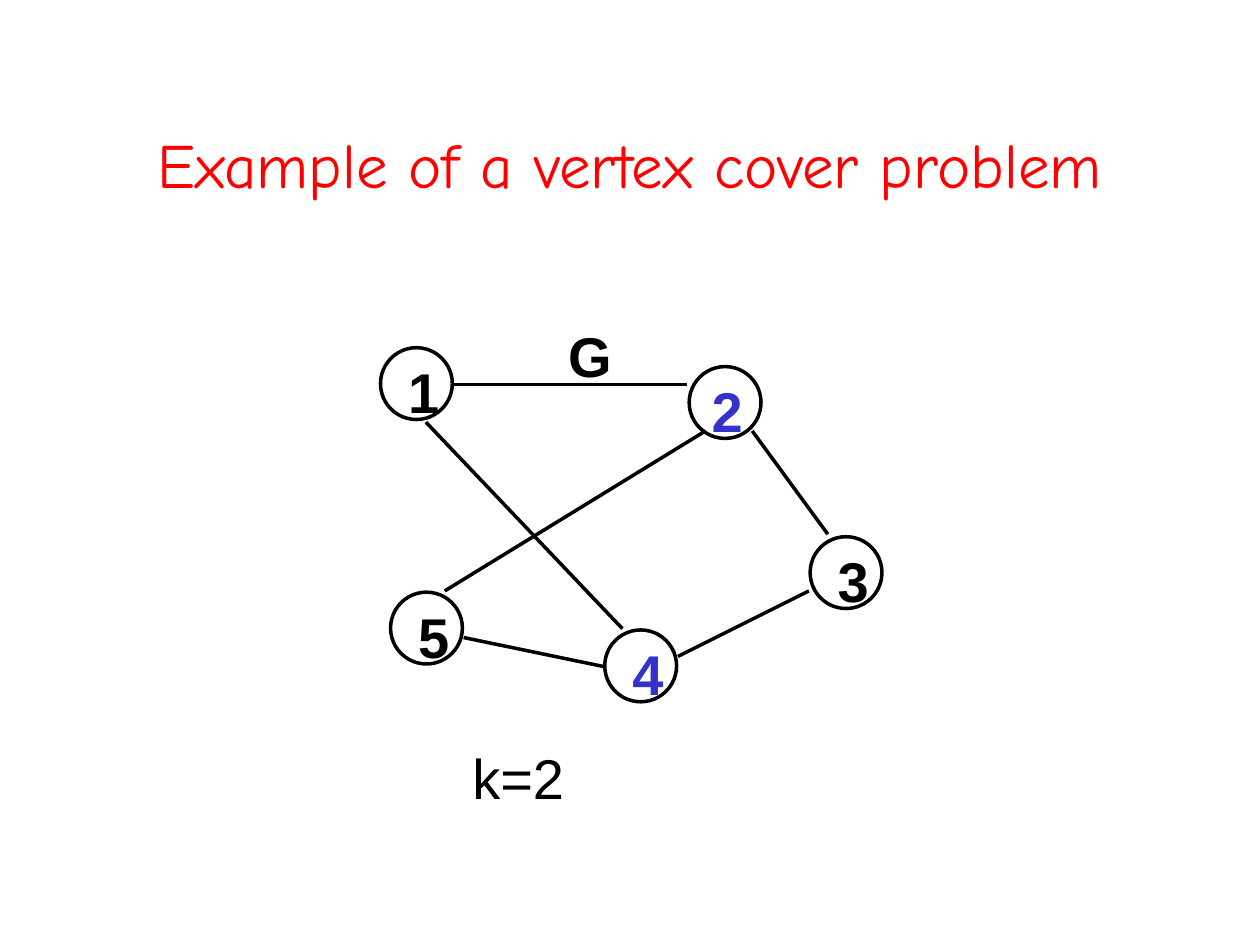
from dataclasses import dataclass

from lxml import etree
from pptx import Presentation
from pptx.dml.color import RGBColor
from pptx.enum.shapes import MSO_CONNECTOR, MSO_SHAPE
from pptx.enum.text import MSO_ANCHOR, MSO_AUTO_SIZE, PP_ALIGN
from pptx.oxml.ns import qn
from pptx.util import Inches, Pt

STRAIGHT = MSO_CONNECTOR.STRAIGHT
OVAL = MSO_SHAPE.OVAL
BLACK = RGBColor(0x00, 0x00, 0x00)
RED = RGBColor(0xFF, 0x00, 0x00)
BLUE = RGBColor(0x33, 0x33, 0xCC)
DIAMETER = 0.57
LINE_WIDTH = Pt(2)


@dataclass
class Node:
    label: str
    x: float
    y: float
    color: RGBColor = BLACK
    label_dx: float = 0.12


@dataclass
class Edge:
    x1: float
    y1: float
    x2: float
    y2: float


NODES = [
    Node("1", 3.02, 2.76),
    Node("2", 5.47, 2.91, BLUE, 0.08),
    Node("3", 6.43, 4.26),
    Node("4", 4.8, 5, BLUE),
    Node("5", 3.1, 4.7),
]
EDGES = [
    Edge(5.97, 3.42, 6.57, 4.24),
    Edge(6.42, 4.69, 5.38, 5.21),
    Edge(3.68, 5.06, 4.79, 5.29),
    Edge(3.38, 3.35, 4.94, 4.99),
    Edge(3.53, 4.69, 5.6, 3.42),
    Edge(3.6, 3.05, 5.45, 3.05),
]


def format_run(r, color: RGBColor, **values) -> None:
    for name, value in values.items():
        setattr(r.font, name, value)
    r.font.color.rgb = color


def add_label(s, text: str, x: float, y: float, width: float,
              color: RGBColor = BLACK, bold: bool = True) -> None:
    box = s.shapes.add_textbox(Inches(x), Inches(y), Inches(width), Inches(0.63))
    tf = box.text_frame
    tf.word_wrap = False
    tf.auto_size = MSO_AUTO_SIZE.SHAPE_TO_FIT_TEXT
    r = tf.paragraphs[0].add_run()
    r.text = text
    format_run(r, color, name="Arial", size=Pt(32), bold=bold)


def add_node(s, node: Node) -> None:
    circle = s.shapes.add_shape(OVAL, Inches(node.x), Inches(node.y),
                                Inches(DIAMETER), Inches(DIAMETER))
    circle.shadow.inherit = False
    circle.fill.background()
    circle.line.color.rgb = BLACK
    circle.line.width = LINE_WIDTH
    add_label(s, node.label, node.x + node.label_dx, node.y + 0.03, 0.45, node.color)


def add_edge(s, edge: Edge) -> None:
    line = s.shapes.add_connector(STRAIGHT, Inches(edge.x1), Inches(edge.y1),
                                  Inches(edge.x2), Inches(edge.y2))
    line.line.color.rgb = BLACK
    line.line.width = LINE_WIDTH
    etree.SubElement(line._element.spPr, qn("a:effectLst"))


def add_title(s, text: str) -> None:
    title = s.shapes.title
    title.left, title.top = Inches(0.75), Inches(0.67)
    title.width, title.height = Inches(8.5), Inches(1.25)
    tf = title.text_frame
    tf.vertical_anchor = MSO_ANCHOR.MIDDLE
    p = tf.paragraphs[0]
    p.alignment = PP_ALIGN.CENTER
    r = p.add_run()
    r.text = text
    format_run(r, RED, name="Comic Neue", size=Pt(36))


def main() -> None:
    prs = Presentation()
    prs.slide_width, prs.slide_height = Inches(10), Inches(7.5)
    s = prs.slides.add_slide(prs.slide_layouts[5])
    add_title(s, "Example of a vertex cover problem")
    for node in NODES:
        add_node(s, node)
    for edge in EDGES:
        add_edge(s, edge)
    add_label(s, "G", 4.41, 2.5, 0.55)
    add_label(s, "k=2", 3.65, 5.85, 0.93, bold=False)
    prs.save("out.pptx")


if __name__ == "__main__":
    main()
